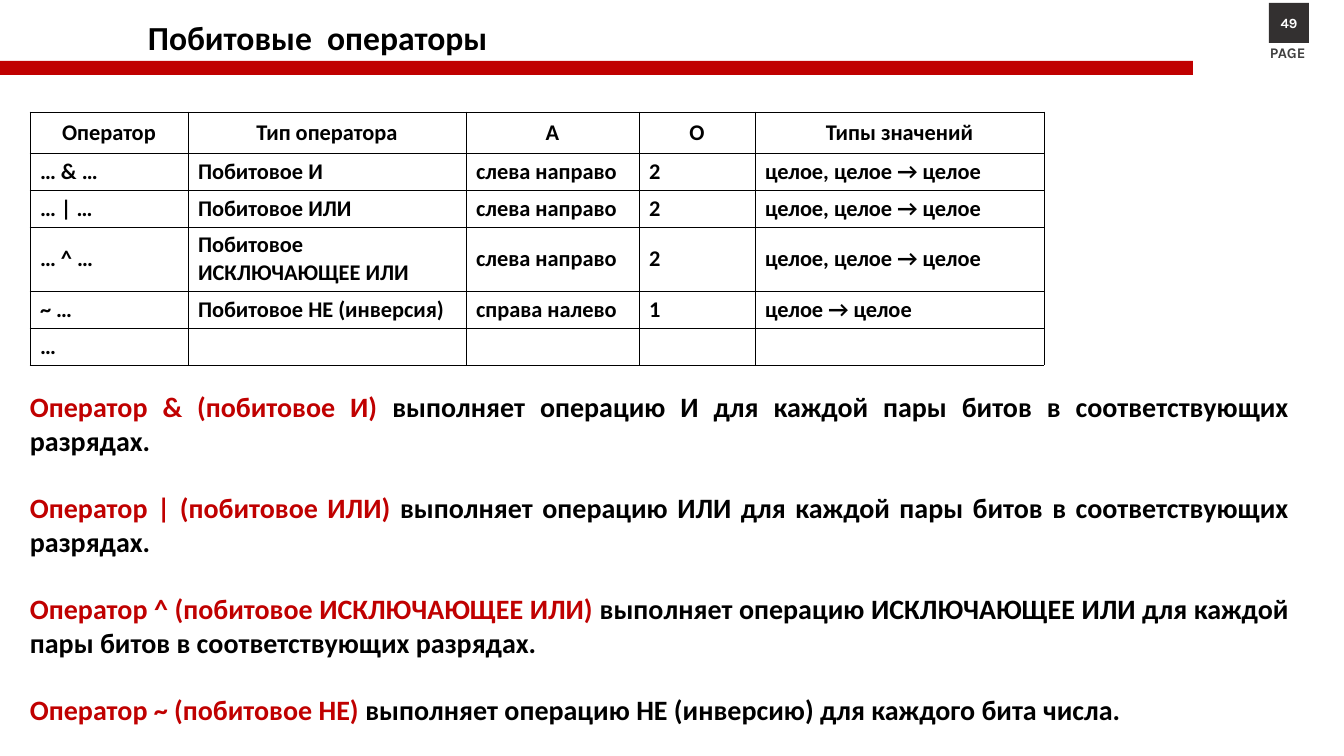
"""Builds the slide on bitwise operators: heading, page badge, operator table and explanations."""
from lxml import etree
from pptx import Presentation
from pptx.dml.color import RGBColor
from pptx.enum.shapes import MSO_SHAPE
from pptx.enum.text import MSO_ANCHOR, PP_ALIGN
from pptx.oxml.ns import qn
from pptx.util import Emu, Pt

RECTANGLE = MSO_SHAPE.RECTANGLE
TOP, MIDDLE = MSO_ANCHOR.TOP, MSO_ANCHOR.MIDDLE
LEFT, CENTER, JUSTIFY = PP_ALIGN.LEFT, PP_ALIGN.CENTER, PP_ALIGN.JUSTIFY

THEME = {
    "black": "000000", "red": "C00000", "badge": "333030", "grey": "404040", "white": "FFFFFF",
    "title": 24, "body": 20, "table": 16, "page": 10.5, "number": 10,
    "font": "Calibri", "page_font": "Karla",
}
PX = 914400 / 100.8


def px(*lengths):
    return [Emu(round(length * PX)) for length in lengths]


def write(frame, paragraphs, size, font=THEME["font"], color="black", align=LEFT,
          anchor=TOP, wrap=True, gap=0, spacing=None):
    frame.word_wrap = wrap
    frame.vertical_anchor = anchor
    for index, pieces in enumerate(paragraphs):
        paragraph = frame.add_paragraph() if index else frame.paragraphs[0]
        paragraph.alignment = align
        if spacing:
            paragraph.line_spacing = spacing
        if index and gap:
            paragraph.space_before = Pt(gap)
        for piece, piece_color in pieces:
            run = paragraph.add_run()
            run.text = piece
            run.font.name = font
            run.font.size = Pt(THEME[size])
            run.font.bold = True
            run.font.color.rgb = RGBColor.from_string(THEME[piece_color or color])


presentation = Presentation()
presentation.slide_width, presentation.slide_height = px(1344, 756)
slide = presentation.slides.add_slide(presentation.slide_layouts[6])
shapes = slide.shapes

heading = shapes.add_textbox(*px(138, 3, 1206, 73))
write(heading.text_frame, [[("Побитовые  операторы", None)]], "title", anchor=MIDDLE, spacing=0.9)

page_label = shapes.add_textbox(*px(1260, 39, 59, 28))
write(page_label.text_frame, [[("PAGE", None)]], "page", font=THEME["page_font"],
      color="grey", wrap=False)

page_badge = shapes.add_shape(RECTANGLE, *px(1269, 3, 40, 40))
heading_bar = shapes.add_shape(RECTANGLE, *px(0, 61, 1193, 14))
for block, fill in ((page_badge, "badge"), (heading_bar, "red")):
    block.shadow.inherit = False
    block.fill.solid()
    block.fill.fore_color.rgb = RGBColor.from_string(THEME[fill])
    block.line.fill.background()
write(page_badge.text_frame, [[("49", None)]], "number", font=THEME["page_font"],
      color="white", align=CENTER, anchor=MIDDLE, wrap=False)

explanations = [
    ("Оператор & (побитовое И)",
     " выполняет операцию И для каждой пары битов в соответствующих разрядах."),
    ("Оператор | (побитовое ИЛИ)",
     " выполняет операцию ИЛИ для каждой пары битов в соответствующих разрядах."),
    ("Оператор ^ (побитовое ИСКЛЮЧАЮЩЕЕ ИЛИ)",
     " выполняет операцию ИСКЛЮЧАЮЩЕЕ ИЛИ для каждой пары битов в соответствующих разрядах."),
    ("Оператор ~ (побитовое НЕ)",
     " выполняет операцию НЕ (инверсию) для каждого бита числа."),
]
explanation_box = shapes.add_textbox(*px(20, 385, 1279, 350))
write(explanation_box.text_frame,
      [[(operator, "red"), (meaning, "black")] for operator, meaning in explanations],
      "body", align=JUSTIFY, gap=24)

operators = [
    ("Оператор", "Тип оператора", "А", "О", "Типы значений"),
    ("… & …", "Побитовое И", "слева направо", "2", "целое, целое → целое"),
    ("… | …", "Побитовое ИЛИ", "слева направо", "2", "целое, целое → целое"),
    ("… ^ …", "Побитовое ИСКЛЮЧАЮЩЕЕ ИЛИ", "слева направо", "2", "целое, целое → целое"),
    ("~ …", "Побитовое НЕ (инверсия)", "справа налево", "1", "целое → целое"),
    ("…", "", "", "", ""),
]
column_widths = px(158, 278, 173, 116, 289)
row_heights = px(41, 37, 37, 64, 37, 37)
operator_table = shapes.add_table(len(row_heights), len(column_widths), *px(30, 112),
                                  sum(column_widths), sum(row_heights)).table
operator_table.first_row = operator_table.horz_banding = False
for column, width in zip(operator_table.columns, column_widths):
    column.width = width
for row_index, (row, height, values) in enumerate(zip(operator_table.rows, row_heights, operators)):
    row.height = height
    for cell, value in zip(row.cells, values):
        cell.margin_top, cell.margin_bottom = px(2, 2)
        cell.vertical_anchor = MIDDLE
        properties = cell._tc.get_or_add_tcPr()
        for side in ("a:lnL", "a:lnR", "a:lnT", "a:lnB"):
            border = etree.SubElement(properties, qn(side), w=str(Pt(0.5)))
            border_fill = etree.SubElement(border, qn("a:solidFill"))
            etree.SubElement(border_fill, qn("a:srgbClr"), val=THEME["black"])
        cell.fill.background()
        if value:
            write(cell.text_frame, [[(value, None)]], "table",
                  align=LEFT if row_index else CENTER, anchor=MIDDLE)

presentation.save("out.pptx")
